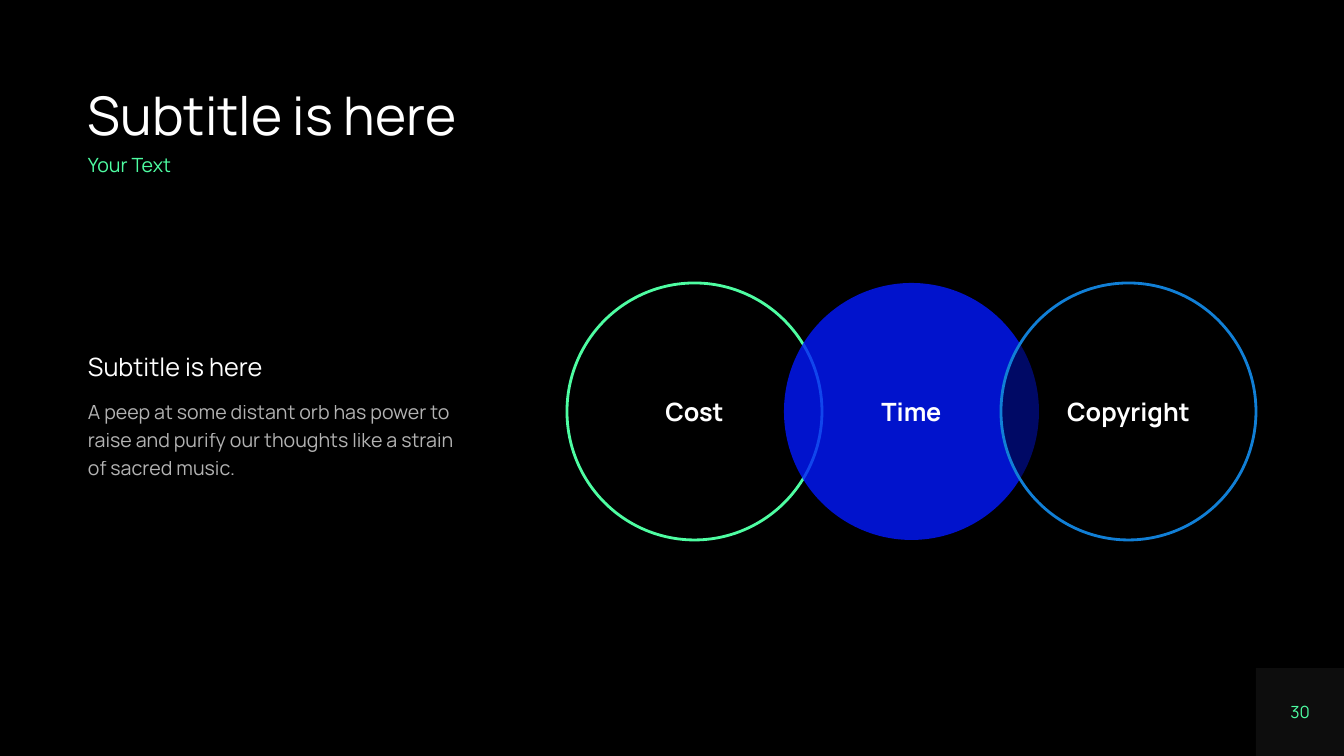
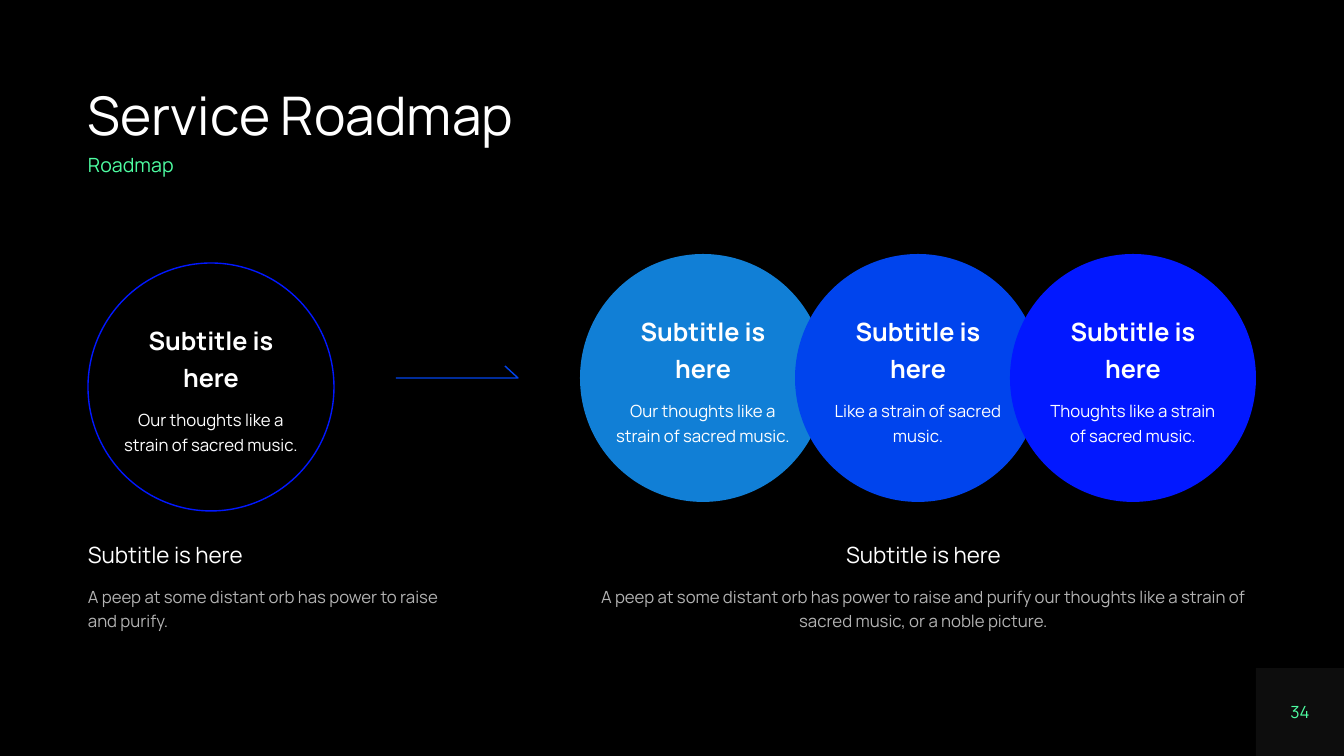
from lxml.etree import SubElement
from pptx import Presentation
from pptx.dml.color import RGBColor
from pptx.enum.shapes import MSO_SHAPE
from pptx.enum.text import MSO_ANCHOR, PP_ALIGN
from pptx.oxml.ns import qn
from pptx.util import Pt

PX = 12192000 / 1344
FONT = "Manrope"
BLACK, WHITE, GRAY = "000000", "FFFFFF", "808080"
GREEN, SKY, COBALT, BLUE = "4EFDA2", "117FD6", "0044ED", "0218FF"
LEFT, CENTER = PP_ALIGN.LEFT, PP_ALIGN.CENTER

TITLE = {"size": 38, "spacing": 0.9}
TAG = {"size": 14, "color": GREEN, "spacing": 0.9}
PAGE = {"size": 12, "color": GREEN, "spacing": 1}
LABEL = {"size": 18, "bold": True, "spacing": 1}
CIRCLE_HEAD = {"size": 18, "bold": True}
CIRCLE_BODY = {"size": 12}
LARGE_HEAD = {"size": 18}
LARGE_BODY = {"size": 14, "opacity": 70}
SMALL_HEAD = {"size": 16}
SMALL_BODY = {"size": 12, "opacity": 70}


def paint(fill, color, opacity=100):
    """Make a fill solid, with opacity in percent."""
    fill.solid()
    fill.fore_color.rgb = RGBColor.from_string(color)
    if opacity < 100:
        tone = fill._xPr.find(qn("a:solidFill")).find(qn("a:srgbClr"))
        SubElement(tone, qn("a:alpha"), val=str(opacity * 1000))


def add_box(slide, area, texts=(), kind=None, align=LEFT, middle=False, wrap=True,
            fill=None, opacity=100, line=None, width=1):
    """Add a text box, or a preset shape if kind is given; texts are (text, style) pairs."""
    place = [round(n * PX) for n in area]
    if kind is None:
        box = slide.shapes.add_textbox(*place)
    else:
        box = slide.shapes.add_shape(kind, *place)
        box.shadow.inherit = False
        if fill:
            paint(box.fill, fill, opacity)
        else:
            box.fill.background()
        if line:
            paint(box.line.fill, line)
            box.line.width = Pt(width)
        else:
            box.line.fill.background()
    frame = box.text_frame
    settings = {"margin_left": 0, "margin_top": 0, "margin_right": 0, "margin_bottom": 0,
                "word_wrap": wrap,
                "vertical_anchor": MSO_ANCHOR.MIDDLE if middle else MSO_ANCHOR.TOP}
    for name, value in settings.items():
        setattr(frame, name, value)
    for index, (text, style) in enumerate(texts):
        para = frame.add_paragraph() if index else frame.paragraphs[0]
        para.alignment = align
        para.line_spacing = style.get("spacing", 1.2)
        if index:
            para.space_before = Pt(10)
        span = para.add_run()
        span.text = text
        settings = {"name": FONT, "size": Pt(style["size"]), "bold": style.get("bold", False)}
        for name, value in settings.items():
            setattr(span.font, name, value)
        paint(span.font.fill, style.get("color", WHITE), style.get("opacity", 100))


deck = Presentation()
deck.slide_width = round(1344 * PX)
deck.slide_height = round(756 * PX)
paint(deck.slide_master.background.fill, BLACK)

slides = []
for title, tag, number in [("Subtitle is here", "Your Text", "30"),
                           ("Service Roadmap", "Roadmap", "34")]:
    slide = deck.slides.add_slide(deck.slide_layouts[6])
    add_box(slide, (1256, 668, 88, 88), kind=MSO_SHAPE.RECTANGLE, fill=GRAY, opacity=10)
    add_box(slide, (88, 90, 1168, 58), [(title, TITLE)])
    add_box(slide, (88, 156, 212, 21), [(tag, TAG)])
    add_box(slide, (1288, 702, 24, 20), [(number, PAGE)], align=CENTER, middle=True, wrap=False)
    slides.append(slide)
venn, roadmap = slides

# Overlapping circles
add_box(venn, (88, 345, 378, 135), [
    ("Subtitle is here", LARGE_HEAD),
    ("A peep at some distant orb has power to raise and purify our thoughts "
     "like a strain of sacred music.", LARGE_BODY)])
circles = [("Cost", {"line": GREEN, "width": 2}),
           ("Time", {"fill": BLUE, "opacity": 80}),
           ("Copyright", {"fill": BLACK, "opacity": 50, "line": SKY, "width": 2})]
for index, (text, look) in enumerate(circles):
    add_box(venn, (567 + 217 * index, 283, 255, 257), [(text, LABEL)],
            kind=MSO_SHAPE.OVAL, align=CENTER, middle=True, **look)

# Roadmap from one circle to three
stages = [(88, 263, "Our thoughts like a strain of sacred music.", {"line": BLUE}),
          (580, 254, "Our thoughts like a strain of sacred music.", {"fill": SKY}),
          (795, 254, "Like a strain of sacred music.", {"fill": COBALT}),
          (1010, 254, "Thoughts like a strain of sacred music.", {"fill": BLUE})]
for left, top, text, look in stages:
    add_box(roadmap, (left, top, 246, 248),
            [("Subtitle is here", CIRCLE_HEAD), (text, CIRCLE_BODY)],
            kind=MSO_SHAPE.OVAL, align=CENTER, middle=True, **look)

outline = roadmap.shapes.build_freeform(396, 378, scale=PX)
outline.add_line_segments([(518, 378), (505, 366)], close=False)
arrow = outline.convert_to_shape()
arrow.shadow.inherit = False
arrow.fill.background()
paint(arrow.line.fill, COBALT)
arrow.line.width = Pt(1)

captions = [(88, 360, LEFT, "A peep at some distant orb has power to raise and purify."),
            (591, 665, CENTER, "A peep at some distant orb has power to raise and purify our "
             "thoughts like a strain of sacred music, or a noble picture.")]
for left, width, align, text in captions:
    add_box(roadmap, (left, 536, width, 94),
            [("Subtitle is here", SMALL_HEAD), (text, SMALL_BODY)], align=align)

deck.save("out.pptx")
